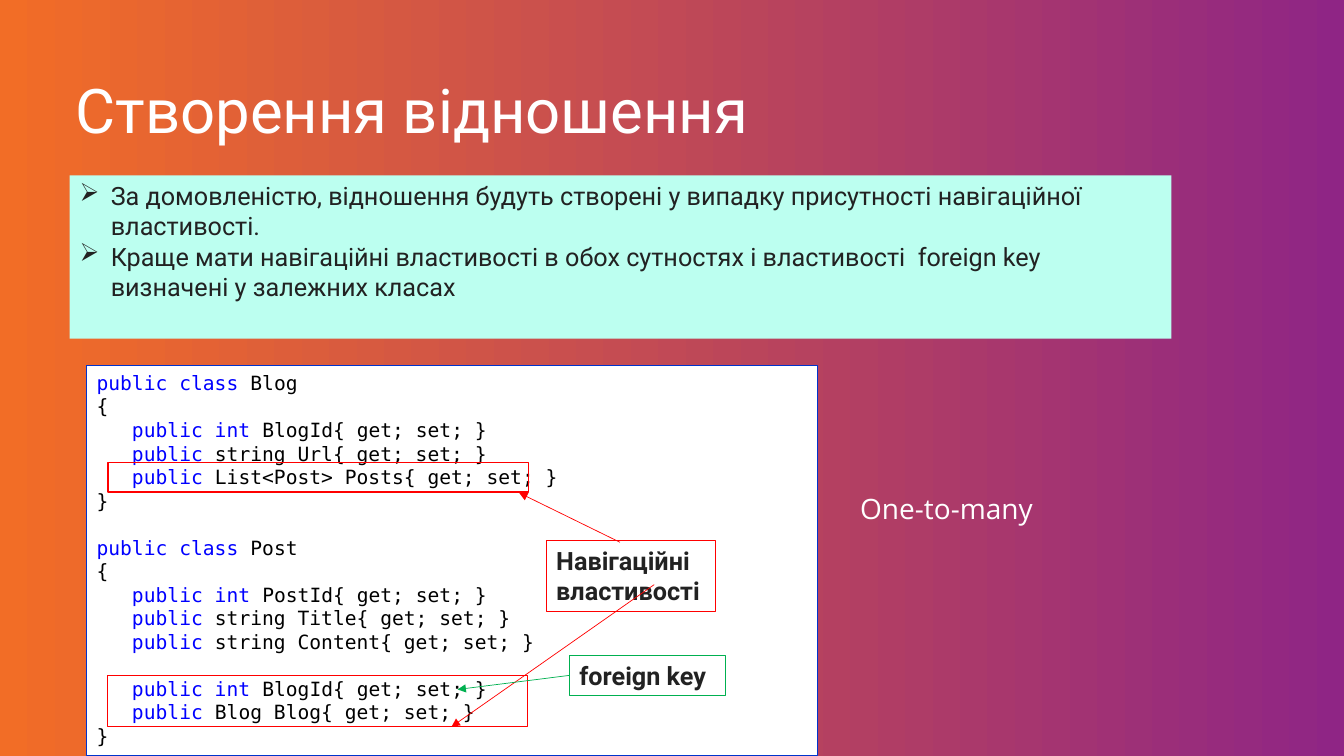
"""Build the slide on creating relationships between entity classes."""
from lxml import etree
from pptx import Presentation
from pptx import util as u
from pptx.dml.color import RGBColor
from pptx.enum import shapes, text
from pptx.oxml.ns import qn

WHITE = RGBColor(0xFF, 0xFF, 0xFF)
BLACK = RGBColor(0x00, 0x00, 0x00)
INK = RGBColor(0x22, 0x22, 0x22)
PURPLE = RGBColor(0x8F, 0x25, 0x85)
ORANGE = RGBColor(0xF2, 0x6D, 0x26)
MINT = RGBColor(0xBC, 0xFF, 0xF0)
BORDER = RGBColor(0x00, 0x33, 0xCC)
KEYWORD = RGBColor(0x00, 0x00, 0xFF)
RED = RGBColor(0xFF, 0x00, 0x00)
GREEN = RGBColor(0x00, 0xB0, 0x50)

TITLE_FONT = dict(name="Roboto", size=u.Pt(44))
NOTE_FONT = dict(name="Open Sans", size=u.Pt(20))
BODY_FONT = dict(name="Roboto", size=u.Pt(18))
LABEL_FONT = dict(BODY_FONT, bold=True)
CODE_FONT = dict(name="DejaVu Sans Mono", size=u.Pt(14))
CODE_LINE = u.Pt(16.8)

TITLE = "Створення відношення"
NOTE = "One-to-many"
POINTS = [
    "За домовленістю, відношення будуть створені у випадку присутності навігаційної властивості.",
    "Краще мати навігаційні властивості в обох сутностях і властивості  foreign key визначені у залежних класах",
]
CODE_BLOCKS = [
    [
        ("public class", " Blog"),
        ("", "{"),
        ("   public int ", "BlogId{ get; set; }"),
        ("   public", " string Url{ get; set; }"),
        ("   public", " List<Post> Posts{ get; set; }"),
        ("", "}"),
    ],
    [
        ("public class", " Post"),
        ("", "{"),
        ("   public int ", "PostId{ get; set; }"),
        ("   public", " string Title{ get; set; }"),
        ("   public", " string Content{ get; set; }"),
    ],
    [
        ("   public int ", "BlogId{ get; set; }"),
        ("   public", " Blog Blog{ get; set; }"),
        ("", "}"),
    ],
]
NAVIGATION_LABEL = ["Навігаційні", "властивості"]
KEY_LABEL = ["foreign key"]

# Areas and points are percentages of the slide's width and height.
TITLE_AREA = (5.63, 10, 88.73, 10)
NOTE_AREA = (64, 64.4, 31.05, 15.6)
POINTS_AREA = (5.18, 23.2, 81.98, 21.6)
CODE_AREA = (6.45, 48.4, 54.38, 51.6)
FRAME_AREAS = [(8.03, 61.2, 31.28, 3.87), (7.98, 89.33, 31.28, 6.8)]
NAVIGATION_AREA = (40.65, 71.47, 12.6, 9.47)
KEY_AREA = (42.38, 86.67, 11.63, 5.33)
NAVIGATION_ARROWS = [
    ((46.13, 71.73), (38.63, 65.2)),
    ((48.68, 77.33), (33.6, 96.13)),
]
KEY_TARGET = (34.05, 91.2)

deck = Presentation()
deck.slide_width, deck.slide_height = u.Inches(13.33), u.Inches(7.5)
page = deck.slides.add_slide(deck.slide_layouts[6])


def place(shares):
    sides = (deck.slide_width, deck.slide_height) * 2
    return [round(side * share / 100) for side, share in zip(sides, shares)]


def apply(target, values):
    for name, value in values.items():
        setattr(target, name, value)


def write(box, lines, font, left=0.1, anchor=text.MSO_ANCHOR.TOP, bullet=None):
    frame = box.text_frame
    apply(frame, dict(word_wrap=True, vertical_anchor=anchor, margin_left=u.Inches(left)))
    for index, spans in enumerate(lines):
        para = frame.paragraphs[0] if index == 0 else frame.add_paragraph()
        para.alignment = text.PP_ALIGN.LEFT
        if bullet:
            settings = para._p.get_or_add_pPr()
            settings.set("marL", str(u.Inches(0.31)))
            settings.set("indent", str(-u.Inches(0.31)))
            etree.SubElement(settings, qn("a:buChar")).set("char", bullet)
        for words, color in spans:
            if words:
                span = para.add_run()
                span.text = words
                apply(span.font, font)
                span.font.color.rgb = color
    return frame


def add_panel(area, fill=None, line=None, width=0.75):
    panel = page.shapes.add_shape(shapes.MSO_SHAPE.RECTANGLE, *place(area))
    panel.shadow.inherit = False
    for part, color in ((panel.fill, fill), (panel.line.fill, line)):
        if color is None:
            part.background()
        else:
            part.solid()
            part.fore_color.rgb = color
    if line is not None:
        panel.line.width = u.Pt(width)
    return panel


def add_arrow(start, end, color):
    arrow = page.shapes.add_connector(shapes.MSO_CONNECTOR.STRAIGHT, *place(start), *place(end))
    arrow.line.color.rgb = color
    arrow.line.width = u.Pt(0.5)
    etree.SubElement(arrow.line._get_or_add_ln(), qn("a:tailEnd")).set("type", "triangle")
    etree.SubElement(arrow._element.spPr, qn("a:effectLst"))
    return arrow


def add_label(area, lines, color):
    label = add_panel(area, line=color)
    write(label, [[(line, INK)] for line in lines], LABEL_FONT)
    return label


backdrop = page.background.fill
backdrop.gradient()
backdrop.gradient_angle = 180
for stop, color in zip(backdrop.gradient_stops, (PURPLE, ORANGE)):
    stop.color.rgb = color

title = page.shapes.add_textbox(*place(TITLE_AREA))
heading = write(title, [[(TITLE, WHITE)]], TITLE_FONT, 0, text.MSO_ANCHOR.MIDDLE)
heading.paragraphs[0].line_spacing = 0.9
note = page.shapes.add_textbox(*place(NOTE_AREA))
write(note, [[(NOTE, WHITE)]], NOTE_FONT, 0)

points = add_panel(POINTS_AREA, MINT)
write(points, [[(point, INK)] for point in POINTS], BODY_FONT, bullet="➢")

code_lines = [[(keyword, KEYWORD), (rest, BLACK)] for block in CODE_BLOCKS for keyword, rest in block]
listing = write(add_panel(CODE_AREA, WHITE, BORDER), code_lines, CODE_FONT)
block_start = 0
for block in CODE_BLOCKS[:-1]:
    block_start += len(block)
    listing.paragraphs[block_start].space_before = CODE_LINE

for area in FRAME_AREAS:
    add_panel(area, line=RED, width=1)
add_label(NAVIGATION_AREA, NAVIGATION_LABEL, RED)
for start, end in NAVIGATION_ARROWS:
    add_arrow(start, end, RED)
key_label = add_label(KEY_AREA, KEY_LABEL, GREEN)
key_start = (KEY_AREA[0], KEY_AREA[1] + KEY_AREA[3] / 2)
add_arrow(key_start, KEY_TARGET, GREEN).begin_connect(key_label, 1)

deck.save("out.pptx")
